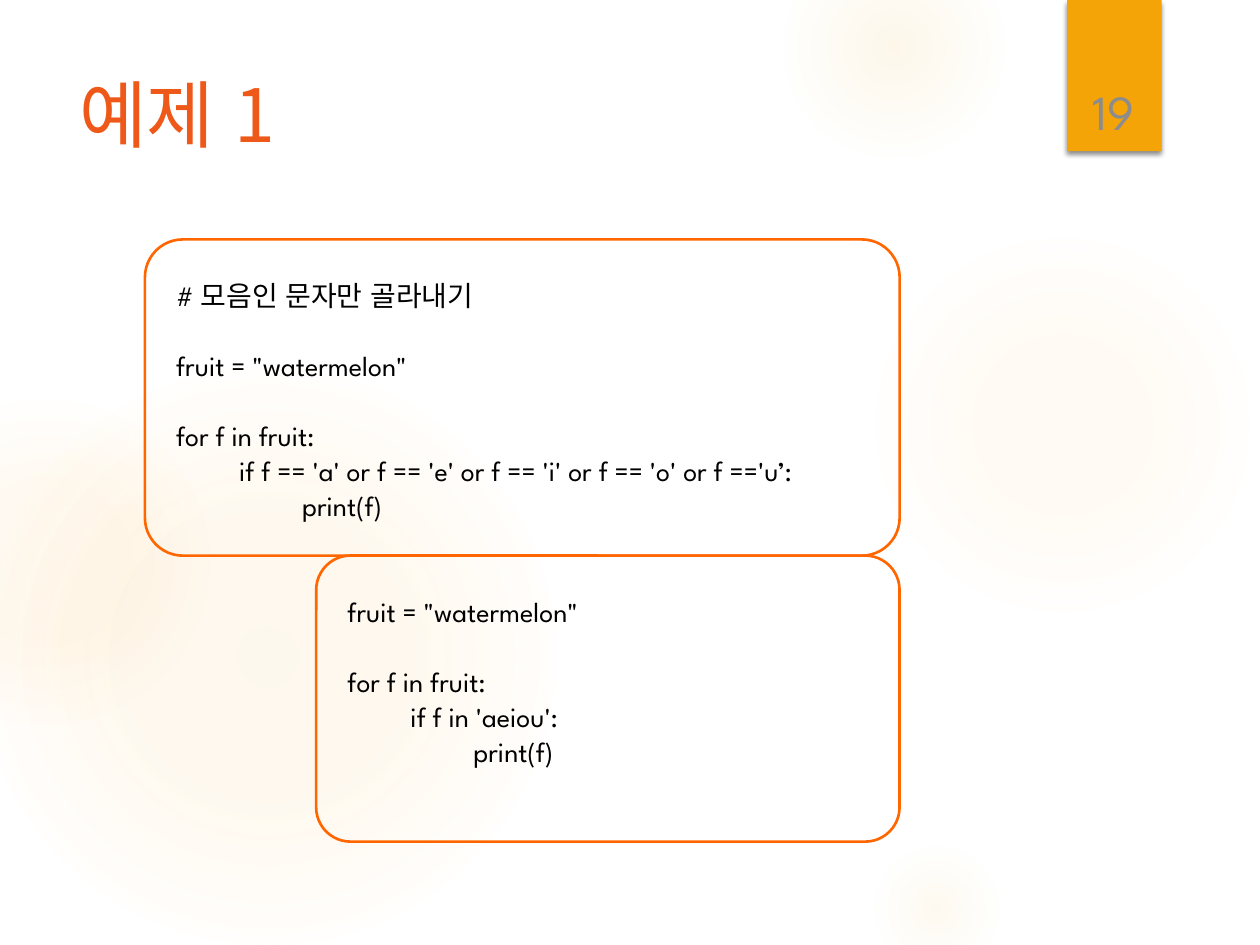
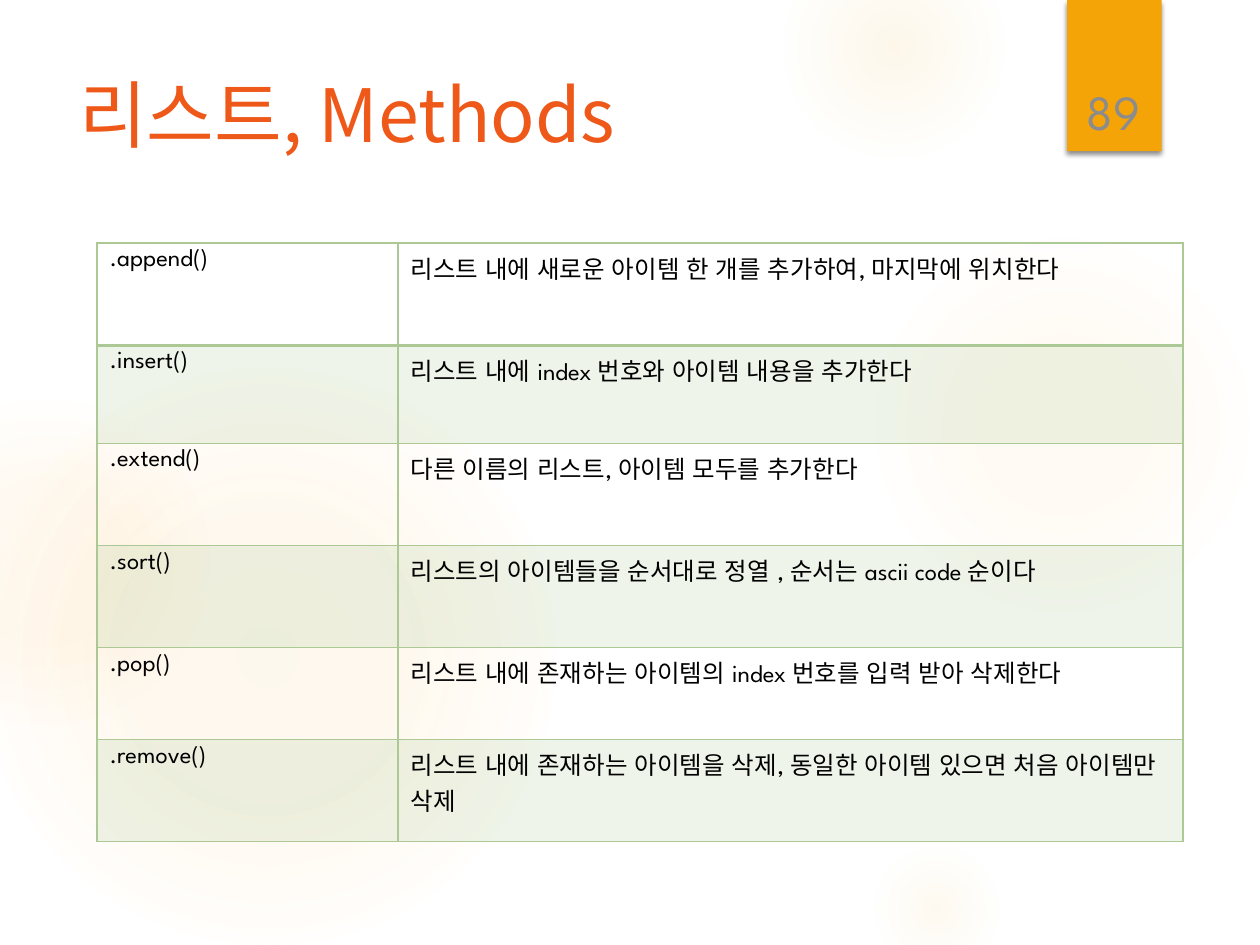
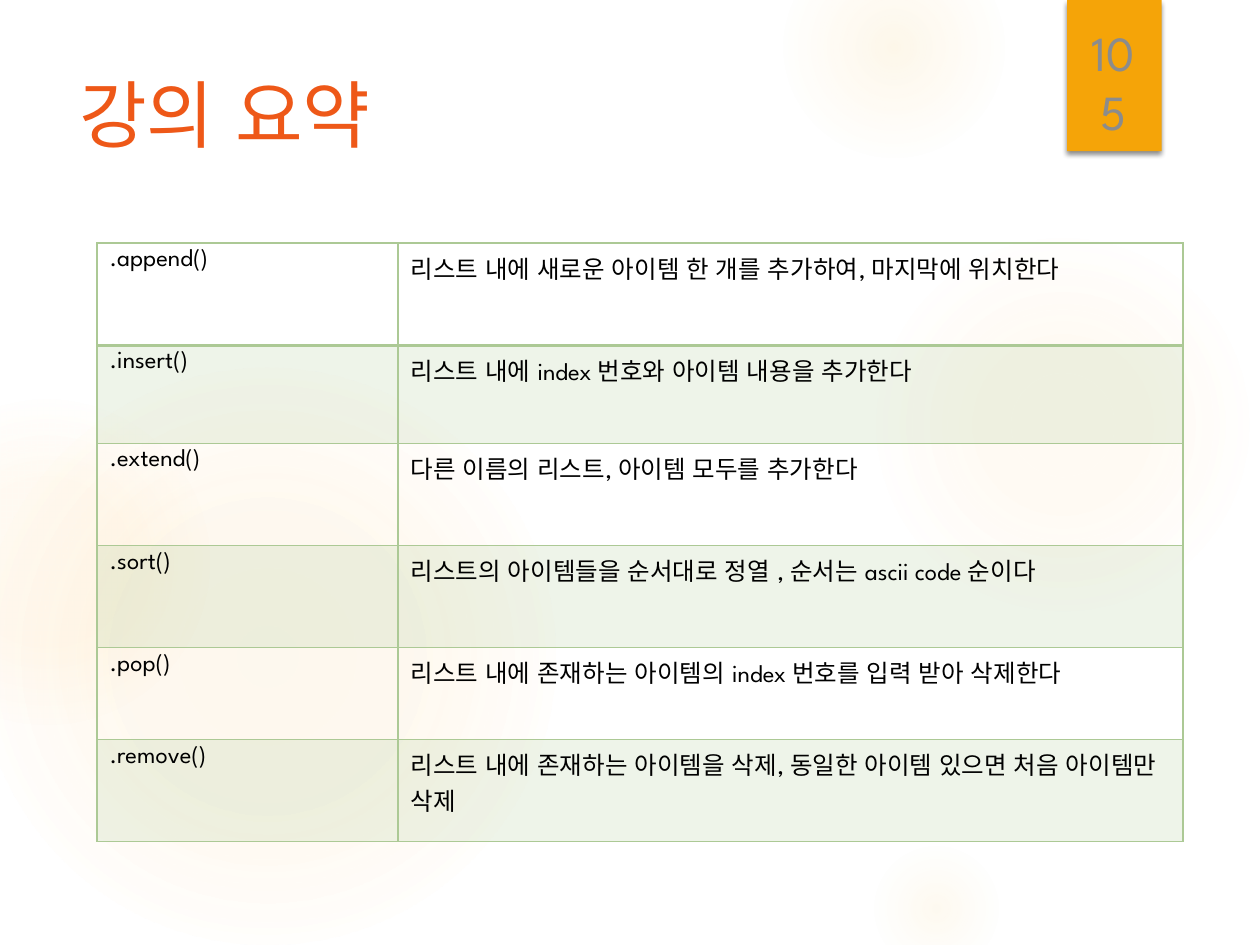
"""Build three lecture slides: a code example and two list-method tables."""
import pptx
import pptx.util
import pptx.dml.color
import pptx.enum.shapes
import pptx.enum.text
import pptx.oxml
import pptx.oxml.ns

Inches = pptx.util.Inches
Pt = pptx.util.Pt
RGBColor = pptx.dml.color.RGBColor
MSO_SHAPE = pptx.enum.shapes.MSO_SHAPE
PP_ALIGN = pptx.enum.text.PP_ALIGN
MSO_ANCHOR = pptx.enum.text.MSO_ANCHOR
qn = pptx.oxml.ns.qn

TITLE_COLOR = RGBColor(0xEE, 0x58, 0x18)
BOX_COLOR = RGBColor(0xFF, 0x66, 0x00)
TAB_COLOR = RGBColor(0xF5, 0xA4, 0x08)
GLOW_COLOR = RGBColor(0xFA, 0xC9, 0x6A)
TABLE_COLOR = RGBColor(0xAC, 0xC9, 0x95)
NUMBER_COLOR = RGBColor(0x8C, 0x8C, 0x8C)
BLACK = RGBColor(0, 0, 0)

LATIN_FONT = "League Spartan"
KOREAN_FONT = "Noto Sans CJK KR"
TAB_STEP = 0.5
LINE_PITCH = 20

GLOWS = [
    (6.89, 1.83, 3.08, [(0, 7), (36, 6), (69, 0)]),
    (6.22, -0.5, 1.75, [(0, 14), (36, 7), (73, 0)]),
    (6.89, 6.67, 1.08, [(0, 10), (31, 5), (66, 0)]),
    (-0.17, 2.92, 4.58, [(0, 11), (36, 10), (75, 0)]),
    (-0.92, 3.17, 2.58, [(0, 8), (36, 8), (72, 0)]),
]

CODE_BOXES = [
    {
        "frame": (1.15, 1.9, 5.99, 2.51),
        "text_size": (6.39, 2.06),
        "blocks": [
            [(0, "# 모음인 문자만 골라내기")],
            [(0, 'fruit = "watermelon"')],
            [
                (0, "for f in fruit:"),
                (1, "if f == 'a' or f == 'e' or f == 'i' or f == 'o' or f =='u’:"),
                (2, "print(f)"),
            ],
        ],
    },
    {
        "frame": (2.51, 4.41, 4.63, 2.27),
        "text_size": (4.76, 1.5),
        "blocks": [
            [(0, 'fruit = "watermelon"')],
            [(0, "for f in fruit:"), (1, "if f in 'aeiou':"), (2, "print(f)")],
        ],
    },
]

METHODS = [
    (".append()", "리스트 내에 새로운 아이템 한 개를 추가하여, 마지막에 위치한다"),
    (".insert()", "리스트 내에 index 번호와 아이템 내용을 추가한다"),
    (".extend()", "다른 이름의 리스트, 아이템 모두를 추가한다"),
    (".sort()", "리스트의 아이템들을 순서대로 정열 , 순서는 ascii code 순이다"),
    (".pop()", "리스트 내에 존재하는 아이템의 index 번호를 입력 받아 삭제한다"),
    (".remove()", "리스트 내에 존재하는 아이템을 삭제, 동일한 아이템 있으면 처음 아이템만 삭제"),
]
COLUMN_WIDTHS = [2.39, 6.23]
ROW_HEIGHTS = [0.81, 0.78, 0.81, 0.81, 0.73, 0.81]


def drawing_xml(xml):
    """Parse a DrawingML fragment whose root tag has no namespace declaration."""
    tag, rest = xml.split(" ", 1)
    return pptx.oxml.parse_xml(f"{tag} {pptx.oxml.ns.nsdecls('a')} {rest}")


def write_text(paragraph, text, size=16, color=BLACK, font=LATIN_FONT,
               align=None, line_spacing=None, space_before=None):
    """Put one formatted run into a paragraph."""
    paragraph.alignment = align
    paragraph.line_spacing = line_spacing
    paragraph.space_before = space_before
    run = paragraph.add_run()
    run.text = text
    run.font.size = Pt(size)
    run.font.color.rgb = color
    run.font.name = font
    run.font.language_id = pptx.enum.lang.MSO_LANGUAGE_ID.KOREAN
    run.font._element.append(drawing_xml(f'<a:ea typeface="{KOREAN_FONT}"/>'))


def add_text_box(slide, left, top, width, height, anchor=MSO_ANCHOR.TOP):
    """Add an empty wrapping text box and return its text frame."""
    box = slide.shapes.add_textbox(Inches(left), Inches(top), Inches(width), Inches(height))
    box.text_frame.word_wrap = True
    box.text_frame.vertical_anchor = anchor
    return box.text_frame


def add_plain_shape(slide, kind, left, top, width, height):
    """Add a preset shape without fill, line or shadow."""
    shape = slide.shapes.add_shape(kind, Inches(left), Inches(top), Inches(width), Inches(height))
    shape.shadow.inherit = False
    shape.fill.background()
    shape.line.fill.background()
    return shape


def add_glow(slide, left, top, size, stops):
    """Add a circle that fades out from its centre."""
    circle = add_plain_shape(slide, MSO_SHAPE.OVAL, left, top, size, size)
    stop_xml = "".join(
        f'<a:gs pos="{position * 1000}"><a:srgbClr val="{GLOW_COLOR}">'
        f'<a:alpha val="{alpha * 1000}"/></a:srgbClr></a:gs>'
        for position, alpha in stops)
    gradient = drawing_xml(
        f'<a:gradFill rotWithShape="1"><a:gsLst>{stop_xml}</a:gsLst><a:path path="circle">'
        '<a:fillToRect l="50000" t="50000" r="50000" b="50000"/></a:path></a:gradFill>')
    properties = circle._element.spPr
    properties.replace(properties.find(qn("a:noFill")), gradient)


def add_number_tab(slide):
    """Add the shadowed tab that holds the slide number."""
    tab = add_plain_shape(slide, MSO_SHAPE.RECTANGLE, 8.47, 0, 0.75, 1.2)
    tab.fill.solid()
    tab.fill.fore_color.rgb = TAB_COLOR
    tab._element.spPr.find(qn("a:effectLst")).append(drawing_xml(
        f'<a:outerShdw blurRad="{Pt(3)}" dist="{Pt(2)}" dir="5400000" rotWithShape="0">'
        f'<a:srgbClr val="{BLACK}"><a:alpha val="45000"/></a:srgbClr></a:outerShdw>'))


def add_base_slide(presentation, title, number):
    """Add a slide with the shared background, title and number."""
    slide = presentation.slides.add_slide(presentation.slide_layouts[6])
    for glow in GLOWS:
        add_glow(slide, *glow)
    add_number_tab(slide)
    title_frame = add_text_box(slide, 0.53, 0.5, 7.72, 1.53)
    write_text(title_frame.paragraphs[0], title, size=42, color=TITLE_COLOR, font=KOREAN_FONT)
    number_frame = add_text_box(slide, 8.49, 0.32, 0.69, 0.84, anchor=MSO_ANCHOR.BOTTOM)
    write_text(number_frame.paragraphs[0], number, size=28, color=NUMBER_COLOR,
               align=PP_ALIGN.CENTER)
    return slide


def add_code_box(slide, frame, text_size, blocks):
    """Add a rounded outline with code blocks set one line apart."""
    left, top, width, height = frame
    outline = add_plain_shape(slide, MSO_SHAPE.ROUNDED_RECTANGLE, left, top, width, height)
    outline.adjustments[0] = 0.12
    outline.line.color.rgb = BOX_COLOR
    outline.line.width = Pt(1.5)
    text_frame = add_text_box(slide, left + 0.15, top + 0.25, *text_size)
    paragraph = text_frame.paragraphs[0]
    for block_index, block in enumerate(blocks):
        for line_index, (level, code) in enumerate(block):
            if block_index or line_index:
                paragraph = text_frame.add_paragraph()
            starts_block = block_index > 0 and line_index == 0
            if level:
                tabs = "".join(f'<a:tab pos="{Inches(TAB_STEP * step)}" algn="l"/>'
                               for step in range(1, level + 1))
                paragraph._p.get_or_add_pPr().append(
                    drawing_xml(f"<a:tabLst >{tabs}</a:tabLst>"))
            write_text(paragraph, "\t" * level + code, line_spacing=Pt(LINE_PITCH),
                       space_before=Pt(LINE_PITCH) if starts_block else None)


def style_cell(cell, row_index):
    """Give a cell its borders and, on every second row, a light tint."""
    properties = cell._tc.get_or_add_tcPr()
    widths = {"lnL": 1, "lnR": 1, "lnT": 2 if row_index == 1 else 1,
              "lnB": 2 if row_index == 0 else 1}
    for side, width in widths.items():
        properties.append(drawing_xml(
            f'<a:{side} w="{Pt(width)}"><a:solidFill><a:srgbClr val="{TABLE_COLOR}"/>'
            f"</a:solidFill></a:{side}>"))
    if row_index % 2:
        cell.fill.solid()
        cell.fill.fore_color.rgb = TABLE_COLOR
        color = properties.find(qn("a:solidFill")).find(qn("a:srgbClr"))
        color.append(drawing_xml('<a:alpha val="20000"/>'))
    else:
        cell.fill.background()


def add_method_table(slide):
    """Add the table of list methods."""
    table = slide.shapes.add_table(
        len(METHODS), len(COLUMN_WIDTHS), Inches(0.77), Inches(1.93),
        Inches(sum(COLUMN_WIDTHS)), Inches(sum(ROW_HEIGHTS))).table
    table.first_row = False
    table.horz_banding = False
    for column, width in zip(table.columns, COLUMN_WIDTHS):
        column.width = Inches(width)
    for row_index, (row, texts) in enumerate(zip(table.rows, METHODS)):
        row.height = Inches(ROW_HEIGHTS[row_index])
        for cell, text in zip(row.cells, texts):
            write_text(cell.text_frame.paragraphs[0], text, size=14)
            style_cell(cell, row_index)


def main():
    """Build and save the presentation."""
    presentation = pptx.Presentation()
    presentation.slide_width = Inches(10)
    presentation.slide_height = Inches(7.5)
    example_slide = add_base_slide(presentation, "예제 1", "19")
    for code_box in CODE_BOXES:
        add_code_box(example_slide, **code_box)
    for title, number in [("리스트, Methods", "89"), ("강의 요약", "105")]:
        add_method_table(add_base_slide(presentation, title, number))
    presentation.save("out.pptx")


if __name__ == "__main__":
    import pptx.enum.lang
    main()
